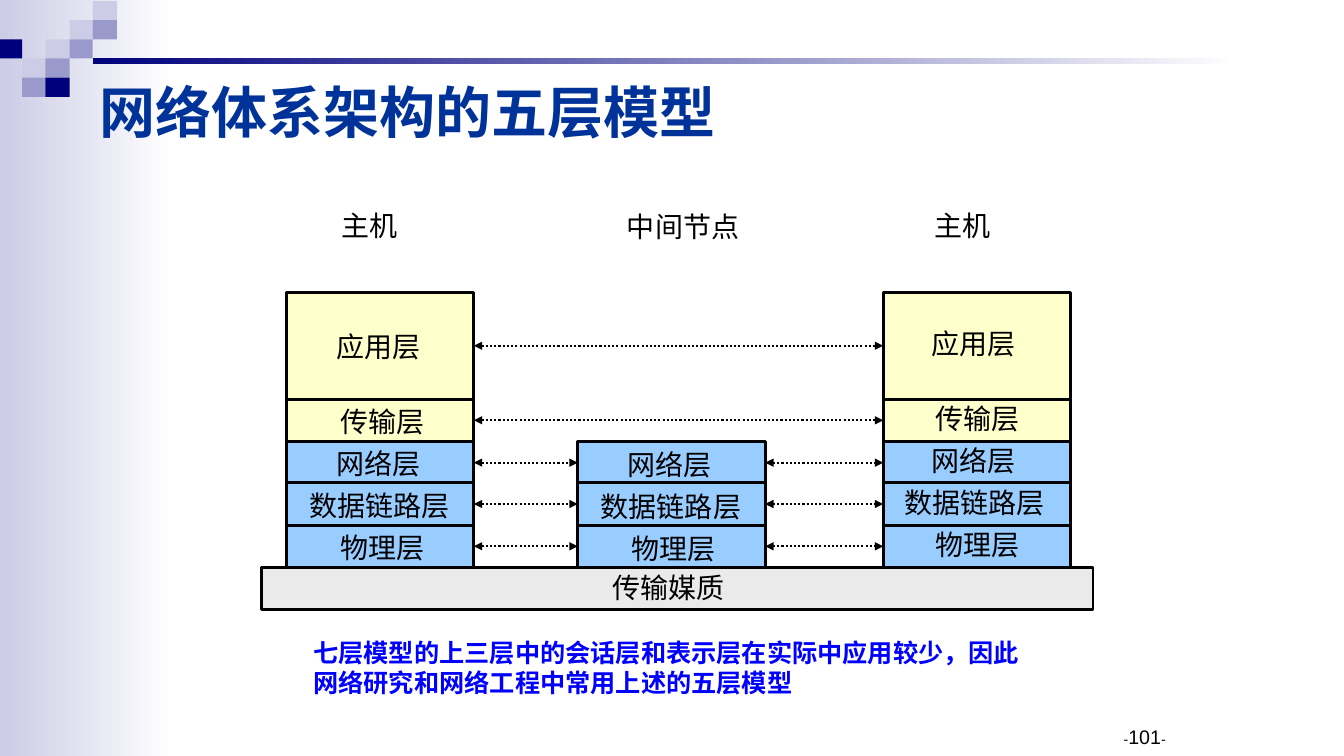
from dataclasses import dataclass
from typing import Optional

from lxml import etree
from pptx import Presentation
from pptx import util as u
from pptx.dml.color import RGBColor
from pptx.enum import dml, shapes, text
from pptx.oxml import ns

NAVY = RGBColor(0x00, 0x00, 0x7D)
PERIWINKLE = RGBColor(0x99, 0x99, 0xCC)
LAVENDER = RGBColor(0xCC, 0xCC, 0xE6)
WHITE = RGBColor(0xFF, 0xFF, 0xFF)
BLACK = RGBColor(0x00, 0x00, 0x00)
TITLE_BLUE = RGBColor(0x00, 0x33, 0x99)
NOTE_BLUE = RGBColor(0x00, 0x00, 0xFF)
YELLOW = RGBColor(0xFF, 0xFF, 0xCC)
SKY = RGBColor(0x99, 0xCC, 0xFF)
GREY = RGBColor(0xEA, 0xEA, 0xEA)

BOX_WIDTH = 1.86
LABEL_HEIGHT = 0.43


@dataclass
class Layer:
    name: str
    top: float
    height: float
    color: RGBColor
    label_dx: float
    label_width: float


@dataclass
class Stack:
    left: float
    first_layer: int
    label_dx: float
    label_dy: float


@dataclass
class Label:
    text: str
    left: float
    top: float
    width: float


LAYERS = [
    Layer("应用层", 2.9, 1.06, YELLOW, 0, 1.73),
    Layer("传输层", 3.96, 0.42, YELLOW, 0.08, 1.65),
    Layer("网络层", 4.38, 0.42, SKY, 0, 1.73),
    Layer("数据链路层", 4.79, 0.42, SKY, 0, 1.75),
    Layer("物理层", 5.21, 0.42, SKY, 0.08, 1.65),
]
HOST_A = Stack(2.84, 0, 0.05, 0.01)
RELAY = Stack(5.73, 2, 0.05, 0.02)
HOST_B = Stack(8.76, 0, 0.03, -0.02)

LABELS = [
    Label("主机", 3.29, 2.02, 0.76),
    Label("中间节点", 6.12, 2.03, 1.32),
    Label("主机", 9.17, 2.02, 0.76),
    Label("传输媒质", 5.98, 5.61, 1.31),
]

# Corner mosaic: edges of the grid columns, and (column, row, colour) of each tile
MOSAIC_EDGES = (-0.01, 0.22, 0.45, 0.69, 0.92, 1.16)
TILE_HEIGHT = 0.19
TILES = [
    (4, 0, LAVENDER), (3, 1, LAVENDER), (4, 1, PERIWINKLE),
    (0, 2, NAVY), (2, 2, LAVENDER), (3, 2, PERIWINKLE),
    (1, 3, LAVENDER), (2, 3, PERIWINKLE),
    (1, 4, PERIWINKLE), (2, 4, NAVY),
]


def add_box(s, left: float, top: float, width: float, height: float,
            color: RGBColor, fade_to: Optional[RGBColor] = None, outlined: bool = False):
    """Draw a rectangle, plain or fading to the right."""
    sp = s.shapes.add_shape(shapes.MSO_SHAPE.RECTANGLE, u.Inches(left), u.Inches(top),
                            u.Inches(width), u.Inches(height))
    sp.shadow.inherit = False
    if fade_to is None:
        sp.fill.solid()
        sp.fill.fore_color.rgb = color
    else:
        sp.fill.gradient()
        sp.fill.gradient_angle = 0
        for stop, position, rgb in zip(sp.fill.gradient_stops, (0, 1), (color, fade_to)):
            stop.position = position
            stop.color.rgb = rgb
    if outlined:
        sp.line.color.rgb = BLACK
        sp.line.width = u.Pt(2)
    else:
        sp.line.fill.background()
    return sp


def add_text(s, lines: list[str], left: float, top: float, width: float,
             height: float = LABEL_HEIGHT, size: int = 20, color: RGBColor = BLACK,
             bold: bool = False, font: str = "Arial", wrap: bool = False,
             align=text.PP_ALIGN.LEFT, anchor=text.MSO_ANCHOR.TOP):
    """Draw a text box with one paragraph per line."""
    sp = s.shapes.add_textbox(u.Inches(left), u.Inches(top), u.Inches(width), u.Inches(height))
    tf = sp.text_frame
    tf.word_wrap = wrap
    tf.vertical_anchor = anchor
    tf.text = "\n".join(lines)
    for p in tf.paragraphs:
        p.alignment = align
        p.font.name = font
        p.font.size = u.Pt(size)
        p.font.bold = bold
        p.font.color.rgb = color
    return tf


def add_stack(s, stack: Stack) -> dict:
    """Draw the layers of one node and return their boxes by layer name."""
    boxes = {}
    for layer in LAYERS[stack.first_layer:]:
        boxes[layer.name] = add_box(s, stack.left, layer.top, BOX_WIDTH, layer.height,
                                    layer.color, outlined=True)
        add_text(s, [layer.name], stack.left + stack.label_dx + layer.label_dx,
                 layer.top + (layer.height - LABEL_HEIGHT) / 2 + stack.label_dy,
                 layer.label_width, wrap=True, align=text.PP_ALIGN.CENTER)
    return boxes


def add_arrow(s, start, end) -> None:
    """Join two boxes with a dotted double-headed arrow."""
    line = s.shapes.add_connector(shapes.MSO_CONNECTOR.STRAIGHT, 0, 0, 0, 0)
    line.begin_connect(start, 3)
    line.end_connect(end, 1)
    line.line.color.rgb = BLACK
    line.line.width = u.Pt(1.5)
    line.line.dash_style = dml.MSO_LINE.ROUND_DOT
    ln = line.line._get_or_add_ln()
    for tag in ("a:headEnd", "a:tailEnd"):
        etree.SubElement(ln, ns.qn(tag), type="triangle")
    etree.SubElement(line._element.spPr, ns.qn("a:effectLst"))


def main() -> None:
    prs = Presentation()
    prs.slide_width = u.Inches(13.33)
    prs.slide_height = u.Inches(7.5)
    s = prs.slides.add_slide(prs.slide_layouts[6])

    # Background decoration
    add_box(s, 0, 0, 1.73, 7.5, LAVENDER, fade_to=WHITE)
    for col, row, color in TILES:
        left, right = MOSAIC_EDGES[col:col + 2]
        add_box(s, left, 0.01 + row * TILE_HEIGHT, right - left, TILE_HEIGHT, color)
    add_box(s, 0.92, 0.58, 11.37, 0.06, NAVY, fade_to=WHITE)

    # Title
    add_text(s, ["网络体系架构的五层模型"], 0.89, 0.75, 9.13, 0.71, size=40, color=TITLE_BLUE,
             bold=True, font="Times New Roman", wrap=True, anchor=text.MSO_ANCHOR.MIDDLE)

    # Protocol stacks on the shared medium
    host_a, relay, host_b = [add_stack(s, stack) for stack in (HOST_A, RELAY, HOST_B)]
    add_box(s, 2.59, 5.63, 8.25, 0.42, GREY, outlined=True)
    for label in LABELS:
        add_text(s, [label.text], label.left, label.top, label.width)

    # Peer links: through the relay where it has the layer, else end to end
    for name, box in host_a.items():
        chain = [box, relay[name], host_b[name]] if name in relay else [box, host_b[name]]
        for start, end in zip(chain, chain[1:]):
            add_arrow(s, start, end)

    # Closing note
    add_text(s, ["七层模型的上三层中的会话层和表示层在实际中应用较少，因此",
                 "网络研究和网络工程中常用上述的五层模型"],
             3.01, 6.27, 7.27, 0.71, size=18, color=NOTE_BLUE, bold=True)

    # Page number
    tf = add_text(s, [""], 9.33, 7.14, 2.33, 0.5, size=10, wrap=True,
                  align=text.PP_ALIGN.RIGHT)
    for part, size in (("-", 10), ("101", 14), ("-", 10)):
        r = tf.paragraphs[0].add_run()
        r.text = part
        r.font.size = u.Pt(size)

    prs.save("out.pptx")


if __name__ == "__main__":
    main()
